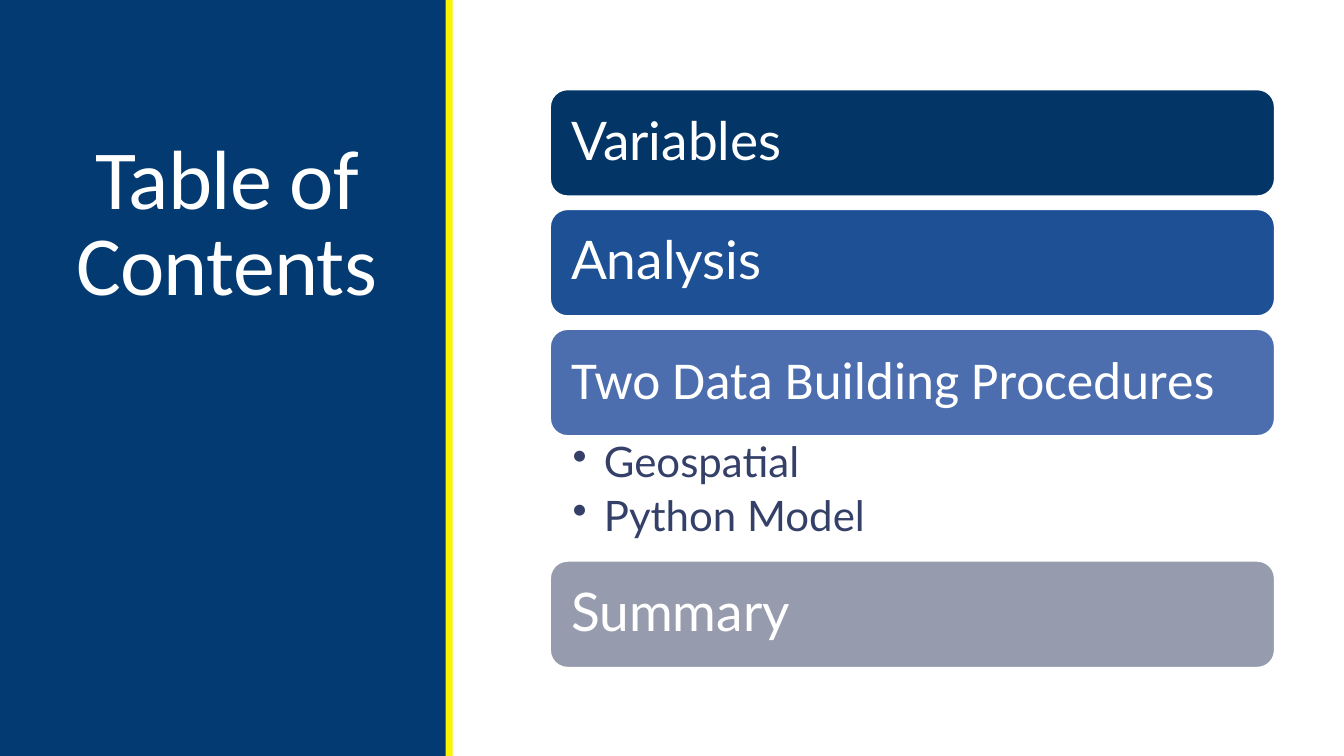
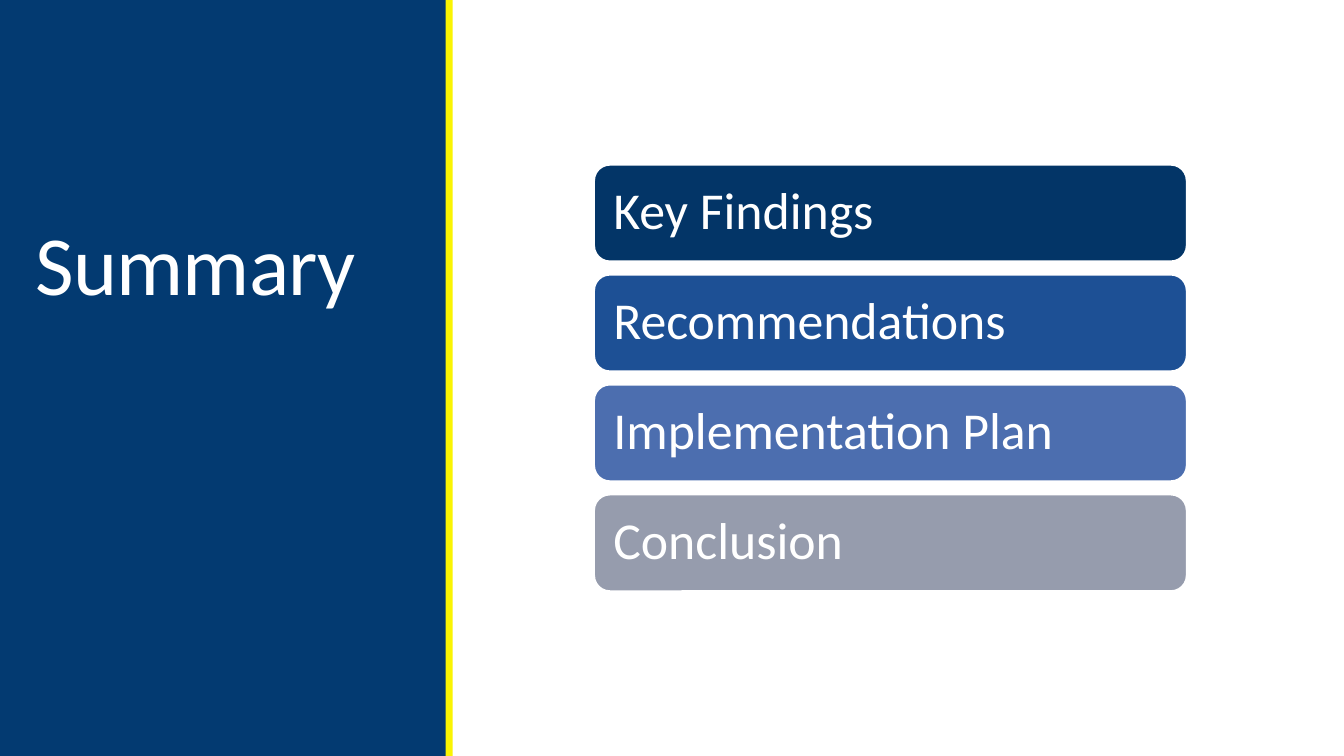
"""Build two agenda slides with a shared navy side panel and stacked bars."""
from lxml import etree
from pptx import Presentation
from pptx.dml.color import RGBColor
from pptx.enum.shapes import MSO_SHAPE
from pptx.enum.text import MSO_ANCHOR, PP_ALIGN
from pptx.oxml.ns import qn
from pptx.util import Cm, Pt

RECTANGLE, ROUNDED = MSO_SHAPE.RECTANGLE, MSO_SHAPE.ROUNDED_RECTANGLE
TOP, MIDDLE, BOTTOM = MSO_ANCHOR.TOP, MSO_ANCHOR.MIDDLE, MSO_ANCHOR.BOTTOM
LEFT, CENTER = PP_ALIGN.LEFT, PP_ALIGN.CENTER

WHITE = RGBColor(0xFF, 0xFF, 0xFF)
NAVY = RGBColor(0x03, 0x3A, 0x71)
YELLOW = RGBColor(0xFA, 0xF4, 0x02)
INK = RGBColor(0x34, 0x40, 0x68)
BAR_COLORS = [
    RGBColor(0x03, 0x35, 0x67),
    RGBColor(0x1D, 0x50, 0x95),
    RGBColor(0x4C, 0x6E, 0xAF),
    RGBColor(0x96, 0x9C, 0xAD),
]

SLIDE_WIDTH, SLIDE_HEIGHT = 33.87, 19.05
BANDS = [(0, 11.25, NAVY), (11.23, 0.18, YELLOW)]
TITLE_TOP, TITLE_HEIGHT = 1.65, 6.35
TITLE_INSETS = (0.25, 0.13, 0.25, 0.13)
BULLETS_HEIGHT = 3.12
BULLETS_INSETS = (0.58, 0.13, 0.76, 0.13)
BULLET_INDENT = Cm(0.79)

TITLE_STYLE = {"size": Pt(60), "name": "Calibri"}
BULLET_STYLE = {"size": Pt(30), "name": "Lato"}

SLIDES = [
    {
        "title": "Table of Contents",
        "title_left": 1.27, "title_width": 8.89, "title_align": CENTER,
        "left": 13.85, "top": 2.24, "width": 18.29,
        "bar_height": 2.72, "gap": 0.3, "inset": 0.41, "size": 38,
        "bars": [
            ("Variables", "Lato", []),
            ("Analysis", "Lato", []),
            ("Two Data Building Procedures", "Calibri", ["Geospatial", "Python Model"]),
            ("Summary", "Lato", []),
        ],
    },
    {
        "title": "Summary",
        "title_left": 0.64, "title_width": 9.53, "title_align": LEFT,
        "left": 14.96, "top": 4.14, "width": 14.96,
        "bar_height": 2.46, "gap": 0.31, "inset": 0.38, "size": 37,
        "bars": [
            ("Key Findings", "Calibri", []),
            ("Recommendations", "Calibri", []),
            ("Implementation Plan", "Calibri", []),
            ("Conclusion", "Calibri", []),
        ],
    },
]


def set_attributes(target, values):
    for name, value in values.items():
        setattr(target, name, value)


def add_block(slide, preset, box, fill):
    shape = slide.shapes.add_shape(preset, *map(Cm, box))
    shape.shadow.inherit = False
    shape.fill.solid()
    shape.fill.fore_color.rgb = fill
    shape.line.fill.background()
    return shape


def write(shape, lines, style, color, insets, anchor, spacing=0.9, align=LEFT, after=0):
    frame = shape.text_frame
    left, top, right, bottom = map(Cm, insets)
    set_attributes(frame, {
        "word_wrap": True, "vertical_anchor": anchor,
        "margin_left": left, "margin_top": top,
        "margin_right": right, "margin_bottom": bottom,
    })
    frame.text = "\n".join(lines)
    for paragraph in frame.paragraphs:
        set_attributes(paragraph, {
            "alignment": align, "line_spacing": spacing, "space_after": Pt(after),
        })
        font = paragraph.runs[0].font
        set_attributes(font, style)
        font.color.rgb = color
    return frame


def add_title(slide, content):
    box = (content["title_left"], TITLE_TOP, content["title_width"], TITLE_HEIGHT)
    shape = slide.shapes.add_textbox(*map(Cm, box))
    frame = write(shape, [content["title"]], TITLE_STYLE, WHITE, TITLE_INSETS,
                  BOTTOM, 0.85, content["title_align"])
    frame.paragraphs[0].runs[0].font._element.set("spc", "-50")


def add_bullets(slide, lines, left, top, width):
    shape = slide.shapes.add_textbox(*map(Cm, (left, top, width, BULLETS_HEIGHT)))
    frame = write(shape, lines, BULLET_STYLE, INK, BULLETS_INSETS, TOP, after=6)
    for paragraph in frame.paragraphs:
        paragraph.level = 1
        properties = paragraph._p.get_or_add_pPr()
        properties.set("marL", str(BULLET_INDENT))
        properties.set("indent", str(-BULLET_INDENT))
        etree.SubElement(properties, qn("a:buChar")).set("char", "•")


def add_bars(slide, content):
    left, top, width = content["left"], content["top"], content["width"]
    height = content["bar_height"]
    for (label, font_name, bullets), color in zip(content["bars"], BAR_COLORS):
        bar = add_block(slide, ROUNDED, (left, top, width, height), color)
        bar.line.color.rgb = WHITE
        bar.line.width = Pt(2)
        style = {"size": Pt(content["size"]), "name": font_name}
        write(bar, [label], style, WHITE, [content["inset"]] * 4, MIDDLE)
        top += height
        if bullets:
            add_bullets(slide, bullets, left, top, width)
            top += BULLETS_HEIGHT
        else:
            top += content["gap"]


def main():
    presentation = Presentation()
    presentation.slide_width = Cm(SLIDE_WIDTH)
    presentation.slide_height = Cm(SLIDE_HEIGHT)
    for content in SLIDES:
        slide = presentation.slides.add_slide(presentation.slide_layouts[6])
        for left, width, color in BANDS:
            add_block(slide, RECTANGLE, (left, 0, width, SLIDE_HEIGHT), color)
        add_title(slide, content)
        add_bars(slide, content)
    presentation.save("out.pptx")


if __name__ == "__main__":
    main()
